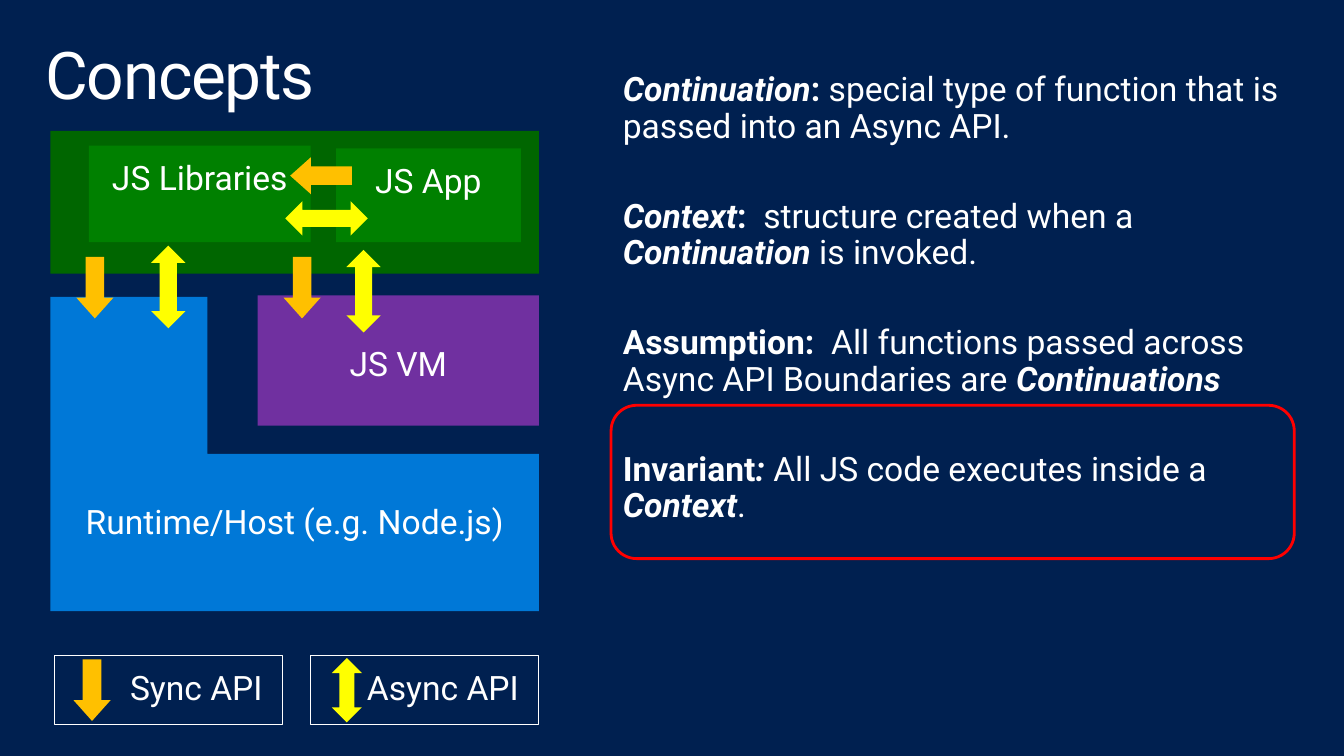
from dataclasses import dataclass

from pptx import Presentation
from pptx.dml.color import RGBColor
from pptx.enum.shapes import MSO_SHAPE as Preset
from pptx.enum.text import MSO_ANCHOR as Anchor, PP_ALIGN as Align
from pptx.util import Pt

FONT = "Roboto"
WHITE = "FFFFFF"
SYNC = "FFC000"
ASYNC = "FFFF00"
LINE_HEIGHT = 25.6


@dataclass
class Block:
    left: float
    top: float
    width: float
    height: float
    fill: str = ""
    text: str = ""
    preset: Preset = Preset.RECTANGLE
    align: Align = Align.CENTER
    skipped_lines: int = 0
    step: float = 0
    line: str = ""
    line_width: float = 0.75


@dataclass
class Arrow:
    left: float
    top: float
    width: float
    height: float
    is_sync: bool
    rotation: float = 0


@dataclass
class Span:
    text: str
    bold: bool = False
    italic: bool = False


BLOCKS = [
    Block(184, 211, 201, 93, "7030A0", "JS VM", skipped_lines=1),
    Block(36, 212, 349, 224.5, "0078D7", "Runtime/Host (e.g. Node.js)",
          skipped_lines=1, step=112.25),
    Block(36, 93.5, 349, 102, "006600"),
    Block(63.5, 104, 158.5, 69, "008000", "JS Libraries"),
    Block(240, 106, 132, 67, "008000", "JS App"),
    Block(39, 468, 163, 49.5, text="Sync API", align=Align.RIGHT, line=WHITE),
    Block(222, 468, 163, 49.5, text="Async API", align=Align.RIGHT, line=WHITE),
]

ARROWS = [
    Arrow(54.5, 183.5, 26.5, 44, True),
    Arrow(202.5, 183.5, 26.5, 44, True),
    Arrow(52.5, 471, 26.5, 44, True),
    Arrow(216, 103.5, 26.5, 44, True, 90),
    Arrow(237, 470, 21.5, 46, False),
    Arrow(247.5, 178.5, 24.5, 59, False),
    Arrow(108, 175.5, 24.5, 59, False),
    Arrow(221, 126.5, 24.5, 59, False, 270),
]

INVARIANT_FRAME = Block(436.5, 289.5, 488, 109.5, preset=Preset.ROUNDED_RECTANGLE,
                        line="FF0000", line_width=2)

DEFINITIONS = [
    [Span("Continuation", True, True), Span(":", True),
     Span(" special type of function that is passed into an Async API.")],
    [Span("Context", True, True), Span(":", True),
     Span("  structure created when a "), Span("Continuation", True, True),
     Span(" is invoked.")],
    [Span("Assumption:  ", True),
     Span("All functions passed across Async API Boundaries are "),
     Span("Continuations", True, True)],
    [Span("Invariant", True), Span(": ", True, True),
     Span("All JS code executes inside a "), Span("Context", True, True),
     Span(".")],
]


def color(value: str) -> RGBColor:
    return RGBColor.from_string(value)


def set_frame(frame, side: float, top: float) -> None:
    frame.word_wrap = True
    frame.vertical_anchor = Anchor.TOP
    frame.margin_left = frame.margin_right = Pt(side)
    frame.margin_top = Pt(top)
    frame.margin_bottom = Pt(7)


def format_para(para, size: float = 24, align: Align = Align.LEFT) -> None:
    para.alignment = align
    para.line_spacing = 0.9
    for span in para.runs:
        span.font.name = FONT
        span.font.size = Pt(size)
        span.font.color.rgb = color(WHITE)


def add_preset(page, preset: Preset, item: Block | Arrow):
    return page.shapes.add_shape(preset, Pt(item.left), Pt(item.top),
                                 Pt(item.width), Pt(item.height))


def add_corner(page, block: Block):
    right, bottom = block.left + block.width, block.top + block.height
    inner_x, inner_y = block.left + block.step, block.top + block.step
    corners = [(inner_x, block.top), (inner_x, inner_y), (right, inner_y),
               (right, bottom), (block.left, bottom)]
    outline = page.shapes.build_freeform(Pt(block.left), Pt(block.top))
    outline.add_line_segments([(Pt(x), Pt(y)) for x, y in corners], close=True)
    return outline.convert_to_shape()


def paint(shape, fill: str) -> None:
    shape.shadow.inherit = False
    shape.line.fill.background()
    if fill:
        shape.fill.solid()
        shape.fill.fore_color.rgb = color(fill)
    else:
        shape.fill.background()


def add_block(page, block: Block) -> None:
    shape = add_corner(page, block) if block.step else add_preset(page, block.preset, block)
    paint(shape, block.fill)
    if block.line:
        shape.line.color.rgb = color(block.line)
        shape.line.width = Pt(block.line_width)
    if block.text:
        frame = shape.text_frame
        set_frame(frame, 14.4, 11.5 + block.step + block.skipped_lines * LINE_HEIGHT)
        frame.text = block.text
        format_para(frame.paragraphs[0], align=block.align)


def add_arrow(page, arrow: Arrow) -> None:
    preset = Preset.DOWN_ARROW if arrow.is_sync else Preset.UP_DOWN_ARROW
    shape = add_preset(page, preset, arrow)
    paint(shape, SYNC if arrow.is_sync else ASYNC)
    shape.rotation = arrow.rotation
    if arrow.is_sync:
        shape.adjustments[1] = 0.56


def add_title(page, text: str) -> None:
    box = page.shapes.add_textbox(Pt(21), Pt(23), Pt(918), Pt(70.5))
    set_frame(box.text_frame, 11.5, 7.2)
    box.text_frame.text = text
    para = box.text_frame.paragraphs[0]
    format_para(para, 47)
    para.runs[0].font._element.set("spc", "-100")


def add_definitions(page, definitions: list[list[Span]]) -> None:
    box = page.shapes.add_textbox(Pt(430.5), Pt(40.5), Pt(516), Pt(450))
    frame = box.text_frame
    set_frame(frame, 14.4, 11.5)
    for index, spans in enumerate(definitions):
        para = frame.add_paragraph() if index else frame.paragraphs[0]
        for span in spans:
            run = para.add_run()
            run.text = span.text
            run.font.bold = span.bold
            run.font.italic = span.italic
        format_para(para)
        para.space_after = Pt(38.5)


def main() -> None:
    deck = Presentation()
    deck.slide_width, deck.slide_height = Pt(960), Pt(540)
    page = deck.slides.add_slide(deck.slide_layouts[6])
    page.background.fill.solid()
    page.background.fill.fore_color.rgb = color("002050")
    add_title(page, "Concepts")
    add_definitions(page, DEFINITIONS)
    for block in BLOCKS:
        add_block(page, block)
    for arrow in ARROWS:
        add_arrow(page, arrow)
    add_block(page, INVARIANT_FRAME)
    deck.save("out.pptx")


if __name__ == "__main__":
    main()
